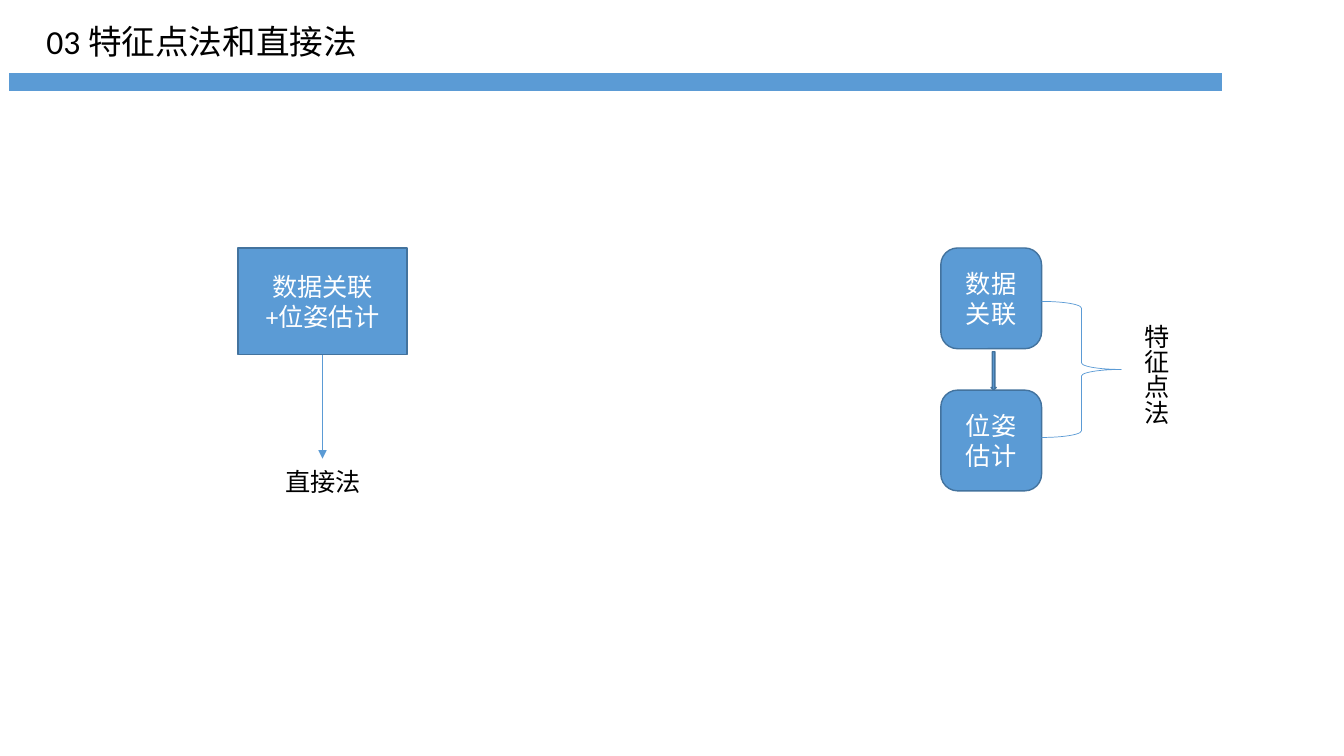
from dataclasses import dataclass

from lxml.etree import SubElement
from pptx import Presentation
from pptx.dml.color import RGBColor
from pptx.enum.shapes import MSO_CONNECTOR, MSO_SHAPE as SHAPE
from pptx.enum.text import MSO_ANCHOR as ANCHOR, MSO_AUTO_SIZE as FIT, PP_ALIGN as ALIGN
from pptx.oxml.ns import qn
from pptx.util import Inches, Pt


@dataclass(frozen=True)
class Theme:
    blue: str = "5B9BD5"
    edge: str = "43739E"
    white: str = "FFFFFF"
    black: str = "000000"
    font: str = "Calibri"
    title: int = 24
    body: int = 18
    thin: float = 0.5
    outline: float = 1
    bar_line: float = 1.5


THEME = Theme()
WIDTH, HEIGHT = Inches(13.33), Inches(7.5)


def area(x, y, w, h):
    """Turn percentages of the slide into left, top, width and height."""
    return (round(WIDTH * x / 100), round(HEIGHT * y / 100),
            round(WIDTH * w / 100), round(HEIGHT * h / 100))


def write(sp, text, size, color, align, anchor):
    tf = sp.text_frame
    tf.text = text
    tf.word_wrap = True
    tf.auto_size = FIT.NONE
    tf.vertical_anchor = anchor
    for p in tf.paragraphs:
        p.alignment = align
        for r in p.runs:
            r.font.name = THEME.font
            r.font.size = Pt(size)
            r.font.color.rgb = RGBColor.from_string(color)


def set_line(line, color, width):
    line.color.rgb = RGBColor.from_string(color)
    line.width = Pt(width)


def add_title(s, text, box):
    sp = s.shapes.title
    sp.left, sp.top, sp.width, sp.height = area(*box)
    write(sp, text, THEME.title, THEME.black, ALIGN.CENTER, ANCHOR.TOP)


def add_shape(s, kind, box, fill=THEME.blue, line=THEME.edge, width=THEME.outline):
    sp = s.shapes.add_shape(kind, *area(*box))
    sp.shadow.inherit = False
    if fill:
        sp.fill.solid()
        sp.fill.fore_color.rgb = RGBColor.from_string(fill)
    else:
        sp.fill.background()
    set_line(sp.line, line, width)
    return sp


def add_step(s, kind, text, box):
    sp = add_shape(s, kind, box)
    write(sp, text, THEME.body, THEME.white, ALIGN.CENTER, ANCHOR.MIDDLE)
    return sp


def add_label(s, text, box, vertical=False):
    sp = s.shapes.add_textbox(*area(*box))
    write(sp, text, THEME.body, THEME.black, ALIGN.LEFT, ANCHOR.TOP)
    if vertical:
        sp.text_frame._txBody.bodyPr.set("vert", "eaVert")


def add_down_arrow(s, source, length):
    """Draw an arrow down from the middle of a box's lower side."""
    x, y = source.left + source.width // 2, source.top + source.height
    end = y + round(HEIGHT * length / 100)
    c = s.shapes.add_connector(MSO_CONNECTOR.STRAIGHT, x, y, x, end)
    c.begin_connect(source, 2)
    set_line(c.line, THEME.blue, THEME.thin)
    SubElement(c.line._get_or_add_ln(), qn("a:tailEnd"), type="triangle")
    SubElement(c._element.spPr, qn("a:effectLst"))


def main():
    prs = Presentation()
    prs.slide_width, prs.slide_height = WIDTH, HEIGHT
    s = prs.slides.add_slide(prs.slide_layouts[5])

    # Heading and bar
    add_title(s, "03 特征点法和直接法", (2.03, 2.13, 25.96, 6.67))
    add_shape(s, SHAPE.MATH_MINUS, (-15.68, 5.07, 122.96, 11.6),
              line=THEME.white, width=THEME.bar_line)

    # Direct method: one joint step
    top = 32.8
    joint = add_step(s, SHAPE.RECTANGLE, "数据关联\v+位姿估计", (17.7, top, 12.6, 14.13))
    add_down_arrow(s, joint, 13.73)
    add_label(s, "直接法", (20.48, 61.07, 8.25, 5.33))

    # Feature method: two steps in sequence
    left, side, tall, pitch = 70, 7.5, 13.33, 18.8
    for i, text in enumerate(("数据关联", "位姿估计")):
        add_step(s, SHAPE.ROUNDED_RECTANGLE, text, (left, top + i * pitch, side, tall))
    add_shape(s, SHAPE.RIGHT_BRACE, (left + side, 39.87, 5.93, 18),
              fill=None, line=THEME.blue, width=THEME.thin)
    add_label(s, "特征点法", (83.8, 41.6, 3.75, 20.67), vertical=True)
    add_shape(s, SHAPE.DOWN_ARROW, (73.74, 46.53, 0.38, 5.07))

    prs.save("out.pptx")


if __name__ == "__main__":
    main()
